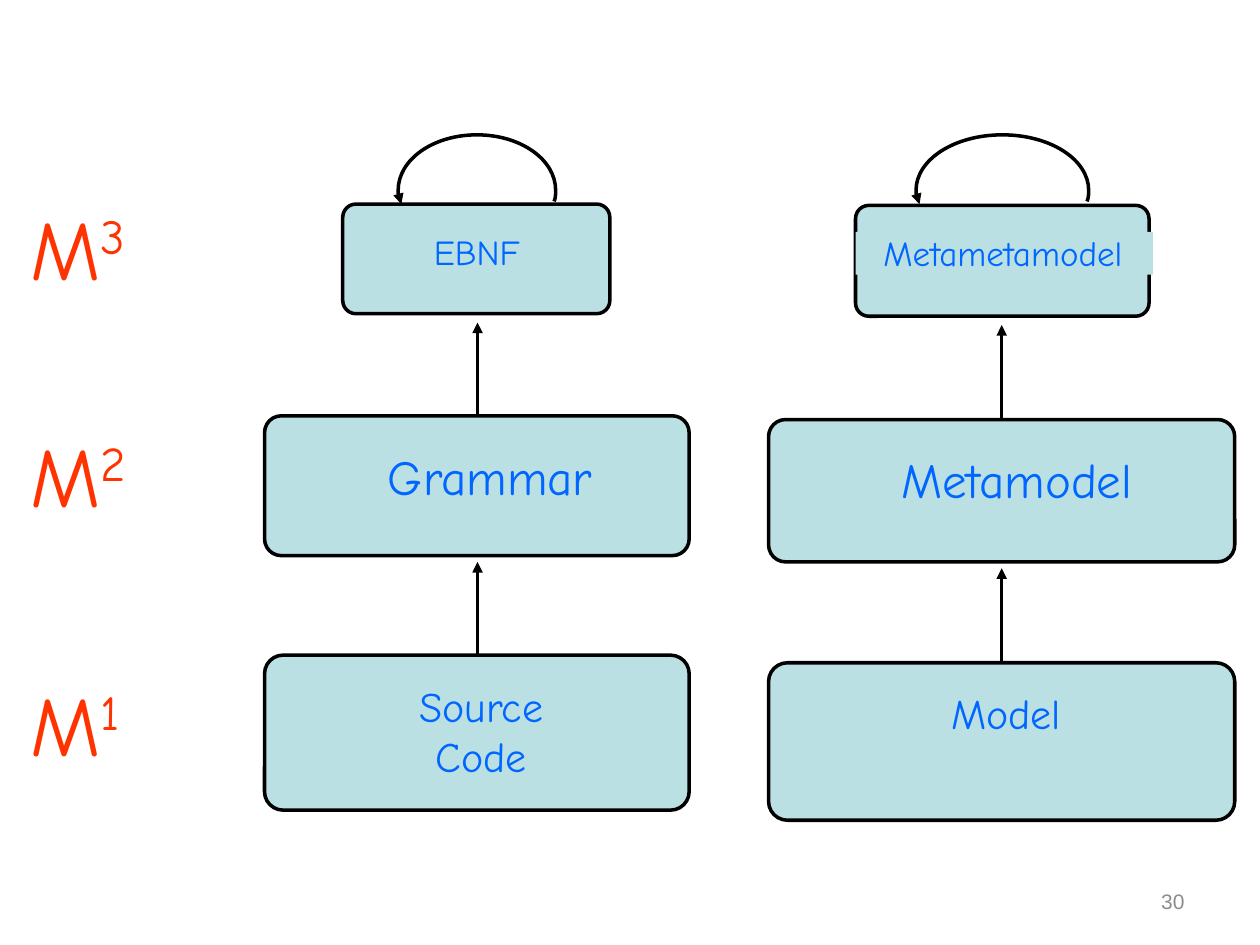
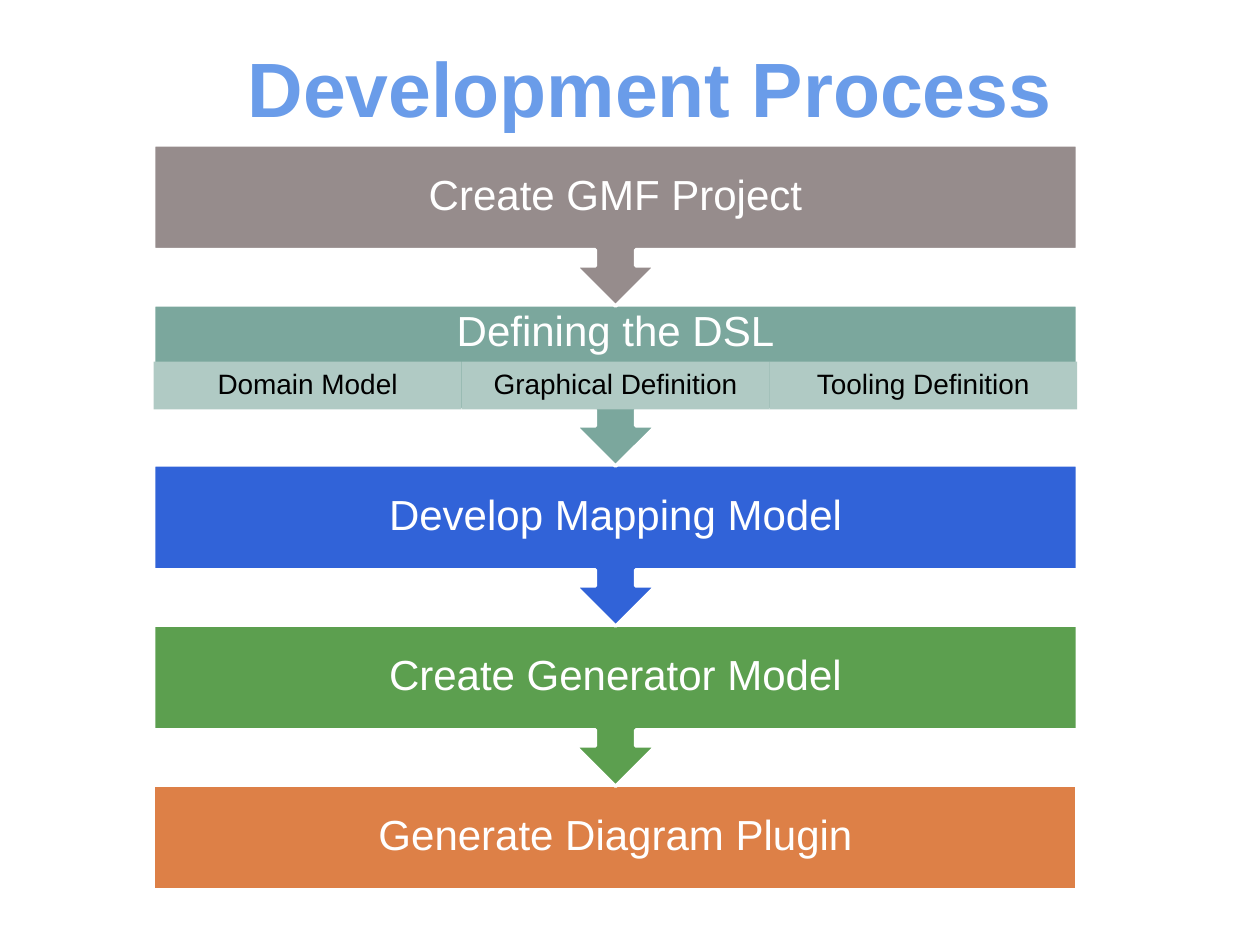
from lxml.etree import SubElement
from pptx import Presentation
from pptx.dml.color import RGBColor
from pptx.enum.shapes import MSO_CONNECTOR, MSO_SHAPE
from pptx.enum.text import MSO_ANCHOR, PP_ALIGN
from pptx.oxml.ns import qn
from pptx.util import Inches, Pt

BLACK, WHITE = "000000", "FFFFFF"
BOX_BLUE, LABEL_BLUE, LEVEL_RED = "BBE0E3", "0066FF", "FF3300"
TITLE_BLUE, GREY, PALE_TEAL = "6A9CE9", "8C8C8C", "B0CAC4"
SANS, HAND = "Arial", "Comic Neue"
LINE_WIDTH = 2

PAGE_NUMBER = "30"
LEVELS = [("3", 1.56), ("2", 3.36), ("1", 5.34)]
COLUMNS = [
    {
        "center": 3.79,
        "loop": (3.16, 1.07, 1.25, 0.55),
        "arrows": [(3.74, 2.56), (5.82, 4.46)],
        "boxes": [(2.1, 3.3, 3.37, 1.11), (2.1, 5.2, 3.37, 1.23), (2.72, 1.62, 2.12, 0.87)],
        "labels": [
            ("Grammar", 28, (2.91, 3.54, 1.98, 0.47), None),
            ("Source\nCode", 24, (3.16, 5.4, 1.34, 0.93), BOX_BLUE),
            ("EBNF", 20, (3.33, 1.83, 0.93, 0.39), BOX_BLUE),
        ],
    },
    {
        "center": 7.95,
        "loop": (7.27, 1.07, 1.37, 0.55),
        "arrows": [(3.78, 2.58), (5.89, 4.51)],
        "boxes": [(6.1, 3.33, 3.7, 1.13), (6.1, 5.26, 3.7, 1.25), (6.79, 1.63, 2.33, 0.88)],
        "labels": [
            ("Metamodel", 28, (6.94, 3.57, 2.28, 0.47), None),
            ("Model", 24, (7.44, 5.46, 1.11, 0.41), BOX_BLUE),
            ("Metametamodel", 20, (6.79, 1.84, 2.36, 0.34), BOX_BLUE),
        ],
    },
]
LOOP_START = (0.01, 0.04)
LOOP_CURVES = [
    ((0, 0.09), (0, 0.15), (0, 0.2)),
    ((0, 0.64), (0.22, 1), (0.5, 1)),
    ((0.78, 1), (1, 0.64), (1, 0.2)),
    ((1, 0.13), (0.99, 0.06), (0.98, 0)),
]

TITLE = "Development Process"
STEPS = [
    ("Create GMF Project", "968C8C", []),
    ("Defining the DSL", "7BA79D", ["Domain Model", "Graphical Definition", "Tooling Definition"]),
    ("Develop Mapping Model", "3163D8", []),
    ("Create Generator Model", "5C9F4F", []),
    ("Generate Diagram Plugin", "DD8047", []),
]
STEP_LEFT, STEP_TOP, STEP_WIDTH, STEP_PITCH = 1.22, 1.15, 7.33, 1.27
BAND_HEIGHT, CALLOUT_HEIGHT = 0.83, 1.28
PART_HEAD, PART_HEIGHT = 0.45, 0.38


def rgb(color):
    return RGBColor.from_string(color)


def inches(values):
    return [Inches(v) for v in values]


def add_box(slide, kind, at, fill, line=None):
    sp = slide.shapes.add_shape(kind, *inches(at))
    sp.shadow.inherit = False
    sp.fill.solid()
    sp.fill.fore_color.rgb = rgb(fill)
    if line:
        sp.line.color.rgb = rgb(line)
        sp.line.width = Pt(LINE_WIDTH)
    else:
        sp.line.fill.background()
    return sp


def add_text(slide, text, at, size=24, color=BLACK, font=SANS, bold=False, fill=None,
             align=PP_ALIGN.CENTER, anchor=MSO_ANCHOR.TOP, insets=(0.1, 0.05, 0.1, 0.05),
             indent=0, spacing=None, wrap=True, superscript=None):
    if fill:
        sp = add_box(slide, MSO_SHAPE.RECTANGLE, at, fill)
    else:
        sp = slide.shapes.add_textbox(*inches(at))
    tf = sp.text_frame
    tf.word_wrap = wrap
    tf.vertical_anchor = anchor
    tf.margin_left, tf.margin_top, tf.margin_right, tf.margin_bottom = inches(insets)
    for i, line in enumerate(text.split("\n")):
        p = tf.add_paragraph() if i else tf.paragraphs[0]
        p.alignment = align
        if spacing:
            p.line_spacing = spacing
        if indent:
            p._p.get_or_add_pPr().set("marL", str(Inches(indent)))
        for part in filter(None, (line, superscript)):
            r = p.add_run()
            r.text = part
            r.font.size = Pt(size)
            r.font.name = font
            r.font.bold = bold
            r.font.color.rgb = rgb(color)
        if superscript:
            r._r.get_or_add_rPr().set("baseline", "31000")


def style_arrow(sp):
    sp.line.color.rgb = rgb(BLACK)
    sp.line.width = Pt(LINE_WIDTH)
    SubElement(sp.line._get_or_add_ln(), qn("a:tailEnd"), type="triangle")
    SubElement(sp._element.spPr, qn("a:effectLst"))


def add_arrow(slide, x, start, end):
    style_arrow(slide.shapes.add_connector(MSO_CONNECTOR.STRAIGHT, *inches((x, start, x, end))))


def add_loop(slide, left, top, width, height):
    def scale(point):
        return Inches(point[0] * width), Inches(point[1] * height)

    builder = slide.shapes.build_freeform(*scale(LOOP_START))
    builder.add_line_segments([scale(curve[-1]) for curve in LOOP_CURVES], close=False)
    sp = builder.convert_to_shape(Inches(left), Inches(top))
    segments = list(sp._element.spPr.iter(qn("a:lnTo")))
    for segment, curve in zip(segments, LOOP_CURVES):
        bezier = SubElement(segment.getparent(), qn("a:cubicBezTo"))
        for x, y in map(scale, curve):
            SubElement(bezier, qn("a:pt"), x=str(x), y=str(y))
        segment.getparent().remove(segment)
    sp.rotation = 180
    sp.fill.background()
    style_arrow(sp)


def build_levels(slide):
    add_text(slide, PAGE_NUMBER, (7.17, 6.95, 2.33, 0.4), size=12, color=GREY,
             align=PP_ALIGN.RIGHT, anchor=MSO_ANCHOR.MIDDLE)
    for number, top in LEVELS:
        add_text(slide, "M", (0.2, top, 1.05, 0.93), size=48, color=LEVEL_RED, font=HAND,
                 align=PP_ALIGN.LEFT, insets=(0, 0, 0.04, 0), indent=0.04, wrap=False,
                 superscript=number)
    for column in COLUMNS:
        for start, end in column["arrows"]:
            add_arrow(slide, column["center"], start, end)
        for at in column["boxes"]:
            sp = add_box(slide, MSO_SHAPE.ROUNDED_RECTANGLE, at, BOX_BLUE, BLACK)
            sp.adjustments[0] = 0.12
        for text, size, at, fill in column["labels"]:
            add_text(slide, text, at, size=size, color=LABEL_BLUE, font=HAND, fill=fill,
                     insets=(0, 0, 0.06, 0), indent=0.04, wrap=False)
        add_loop(slide, *column["loop"])


def build_process(slide):
    last = len(STEPS) - 1
    for i, (step, color, parts) in reversed(list(enumerate(STEPS))):
        top = STEP_TOP + i * STEP_PITCH
        kind = MSO_SHAPE.RECTANGLE if i == last else MSO_SHAPE.UP_ARROW_CALLOUT
        height = BAND_HEIGHT if i == last else CALLOUT_HEIGHT
        sp = add_box(slide, kind, (STEP_LEFT, top, STEP_WIDTH, height), color, WHITE)
        sp.rotation = 0 if i == last else 180
        head = PART_HEAD if parts else BAND_HEIGHT
        add_text(slide, step, (STEP_LEFT, top, STEP_WIDTH, head), color=WHITE,
                 anchor=MSO_ANCHOR.MIDDLE, insets=(0.19,) * 4, spacing=0.9)
        for j, part in enumerate(parts):
            width = STEP_WIDTH / len(parts)
            at = (STEP_LEFT + j * width, top + PART_HEAD, width, PART_HEIGHT)
            add_box(slide, MSO_SHAPE.RECTANGLE, at, PALE_TEAL)
            add_text(slide, part, at, size=16, anchor=MSO_ANCHOR.MIDDLE,
                     insets=(0.12, 0.02, 0.12, 0.02), spacing=0.9)
    add_text(slide, TITLE, (0.28, 0.29, 9.76, 0.79), size=44, color=TITLE_BLUE, bold=True,
             anchor=MSO_ANCHOR.MIDDLE)


def main():
    prs = Presentation()
    prs.slide_width, prs.slide_height = inches((10, 7.5))
    for build in (build_levels, build_process):
        build(prs.slides.add_slide(prs.slide_layouts[6]))
    prs.save("out.pptx")


if __name__ == "__main__":
    main()
